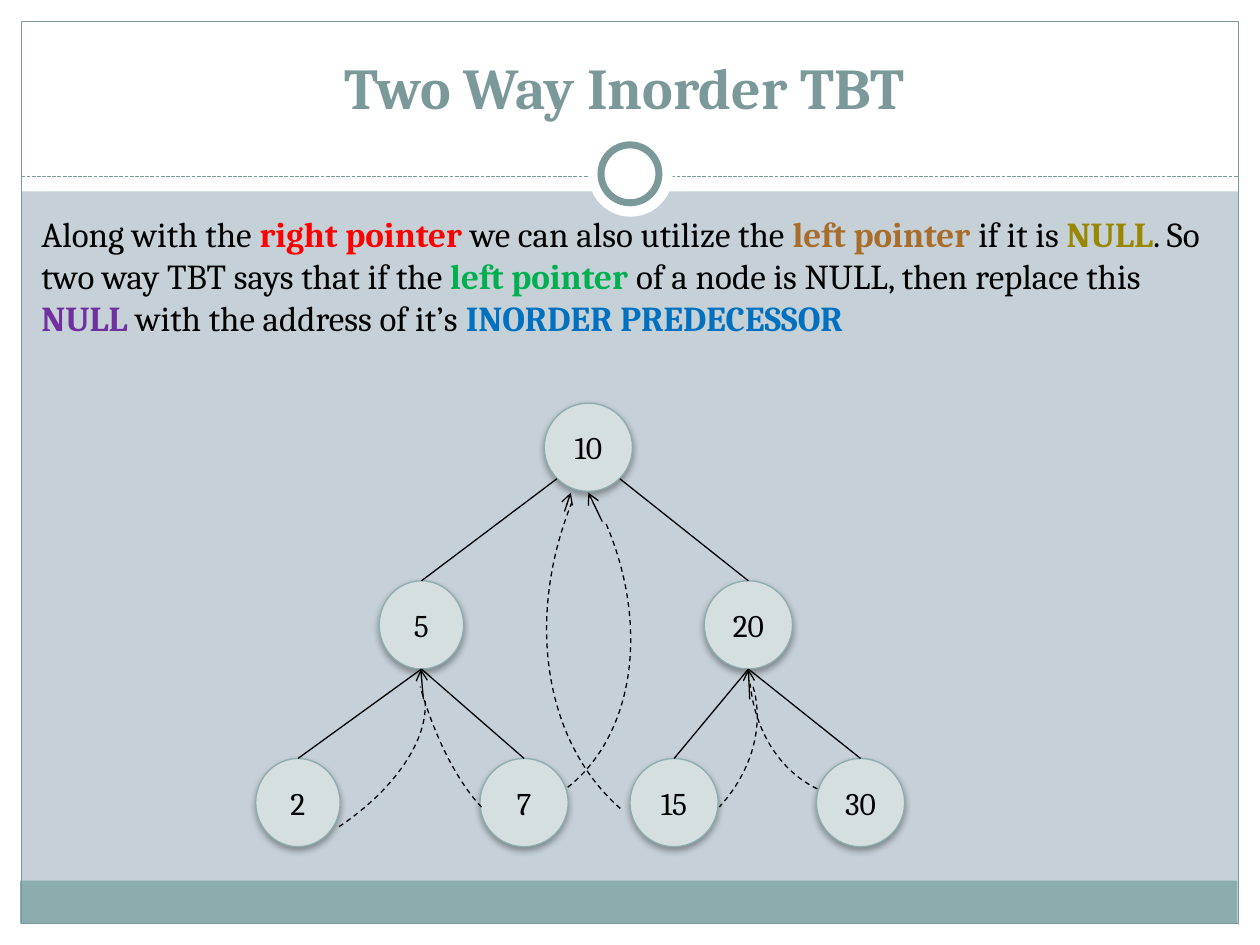
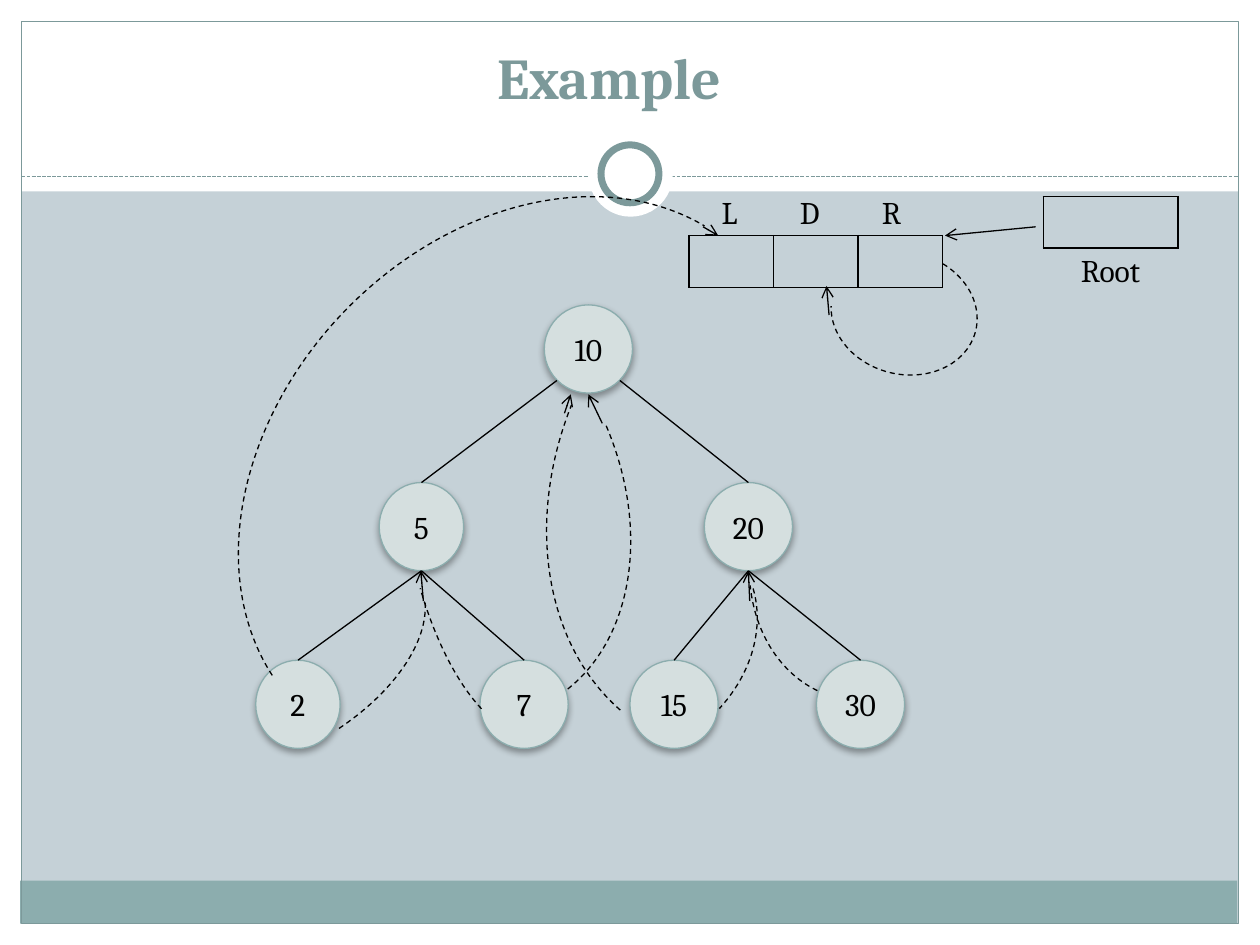
from lxml.etree import SubElement as Sub
from pptx import Presentation
from pptx.dml.color import RGBColor as RGB
from pptx.enum.dml import MSO_LINE as Dash
from pptx.enum.shapes import MSO_CONNECTOR as Conn, MSO_SHAPE as Geo
from pptx.enum.text import MSO_ANCHOR as Anchor, MSO_AUTO_SIZE as Fit, PP_ALIGN as Align
from pptx.oxml import parse_xml
from pptx.oxml.ns import nsdecls, qn
from pptx.util import Inches, Pt

# Shared look
FONT = "Cambria"
INK, TEAL, BAND, NODE, BACK, WHITE = "000000", "7C999A", "8CADAE", "D5DFDF", "C5D1D7", "FFFFFF"

# Slide 1 text: (words, colour of a bold run or None)
INTRO = [
    ("Along with the ", None), ("right pointer ", "FF0000"),
    ("we can also utilize the ", None), ("left pointer ", "A96D2B"),
    ("if it is ", None), ("NULL", "998700"),
    (". So two way TBT says that if the ", None), ("left pointer ", "00B050"),
    ("of a node is NULL, then replace this ", None), ("NULL", "7030A0"),
    (" with the address of it’s ", None), ("INORDER PREDECESSOR", "0070C0"),
]

# Tree, measured from the top of its root: value -> (left, level, width)
NODES = {
    "10": (4.32, 0, 0.7), "5": (3.01, 1, 0.67), "20": (5.59, 1, 0.7),
    "2": (2.03, 2, 0.67), "7": (3.81, 2, 0.7), "15": (5, 2, 0.7), "30": (6.48, 2, 0.7),
}
EDGES = [("10", "5"), ("10", "20"), ("5", "2"), ("5", "7"), ("20", "15"), ("20", "30")]
STEP, HIGH = 1.41, 0.7

# Threads: (left, top, width, height), turn, (start, end)
THREADS = [
    ((1.35, 1.45, 1.53, 2.73), 62.4, (166.75, 205.55)),
    ((1.51, 0, 3.86, 2.9), 62.4, (166.75, 212.68)),
    ((3.93, 1.48, 1.92, 2.32), 62.4, (166.75, 199.3)),
    ((3.27, 0.42, 1.23, 3.01), 166.9, (171.58, 205.55)),
    ((4.46, -0.97, 3.67, 4.65), 208.5, (166.75, 209.5)),
    ((5.96, 0.83, 1.92, 2.32), 194.1, (166.75, 199.3)),
]
TIPS = [
    ((3.36, 2.35), (3.34, 2.11)), ((4.78, 0.94), (4.67, 0.71)),
    ((5.95, 2.35), (5.94, 2.11)), ((4.48, 0.86), (4.53, 0.71)),
]

# Slide 2: threads through the head node
LOOPS = [
    ((2.19, 1.3, 3.87, 5.03), 223.9, (166.75, 49.24)),
    ((6.59, 2, 1.17, 0.97), 194.1, (68.44, 210.81)),
]
HEADS = [((5.58, 1.8), (5.7, 1.87)), ((6.58, 2.5), (6.56, 2.27)), ((8.22, 1.8), (7.5, 1.87))]


def color(code):
    return RGB.from_string(code)


def inch(*nums):
    return [Inches(n) for n in nums]


def style(font, size, code=INK, bold=None):
    font.name, font.size, font.bold = FONT, Pt(size), bold
    font.color.rgb = color(code)


def stroke(line, code=INK, width=0.75, dash=None):
    line.color.rgb = color(code)
    line.width = Pt(width)
    if dash:
        line.dash_style = dash


def shape(slide, geo, box, fill=None, edge=None, width=0.75, dash=None):
    item = slide.shapes.add_shape(geo, *inch(*box))
    item.shadow.inherit = False
    if fill:
        item.fill.solid()
        item.fill.fore_color.rgb = color(fill)
    else:
        item.fill.background()
    if edge:
        stroke(item.line, edge, width, dash)
    else:
        item.line.fill.background()
    return item


def link(slide, start, end, code=INK, dash=None, arrow=False):
    item = slide.shapes.add_connector(Conn.STRAIGHT, *inch(*start, *end))
    stroke(item.line, code, dash=dash)
    if arrow:
        Sub(item.line._get_or_add_ln(), qn("a:tailEnd"), type="arrow")
    Sub(item._element.spPr, qn("a:effectLst"))
    return item


def arc(slide, box, turn, ends, drop=0):
    left, top, wide, high = box
    item = shape(slide, Geo.ARC, (left, top + drop, wide, high), edge=INK, dash=Dash.DASH)
    item.rotation = turn
    item.adjustments[0], item.adjustments[1] = ends


def label(slide, box):
    frame = slide.shapes.add_textbox(*inch(*box)).text_frame
    frame.word_wrap = True
    return frame.paragraphs[0]


def node(slide, value, box):
    item = shape(slide, Geo.OVAL, box, NODE, BAND)
    effect = item._element.spPr.find(qn("a:effectLst"))
    effect.append(parse_xml(
        f'<a:outerShdw {nsdecls("a")} blurRad="{Pt(4)}" dist="{Pt(2)}" dir="5400000" '
        f'rotWithShape="0"><a:srgbClr val="{INK}"><a:alpha val="35000"/></a:srgbClr></a:outerShdw>'))
    frame = item.text_frame
    frame.vertical_anchor, frame.word_wrap = Anchor.MIDDLE, False
    par = frame.paragraphs[0]
    par.text, par.alignment = value, Align.CENTER
    style(par.font, 18)
    return item


def tree(slide, top):
    made = {}
    for value, (left, level, wide) in NODES.items():
        made[value] = node(slide, value, (left, top + level * STEP, wide, HIGH))
    for above, below in EDGES:
        left, level, wide = NODES[above]
        x, y = left + wide / 2, top + level * STEP + HIGH
        if level == 0:  # the root's edges leave at 45 degrees
            x += 0.25 if NODES[below][0] > left else -0.25
            y -= 0.1
        line = link(slide, (x, y), (x, y))
        line.end_connect(made[below], 0)
    for thread in THREADS:
        arc(slide, *thread, drop=top)
    for (x1, y1), (x2, y2) in TIPS:
        link(slide, (x1, y1 + top), (x2, y2 + top), arrow=True)


def cells(slide, left, top, count, wide, high=0.41):
    grid = slide.shapes.add_table(1, count, *inch(left, top, count * wide, high)).table
    grid.first_row = grid.horz_banding = False
    for cell in grid.iter_cells():
        cell.fill.background()
        props = cell._tc.get_or_add_tcPr()
        for n, side in enumerate("LRTB"):
            props.insert(n, parse_xml(
                f'<a:ln{side} {nsdecls("a")} w="{Pt(1)}"><a:solidFill>'
                f'<a:srgbClr val="{INK}"/></a:solidFill></a:ln{side}>'))


def dress(layout, slide):
    """Draw the shared frame and move it to the layout."""
    layout.background.fill.solid()
    layout.background.fill.fore_color.rgb = color(BACK)
    parts = [shape(slide, Geo.RECTANGLE, box, WHITE) for box in (
        (0, 7.33, 10, 0.17), (0, 0, 10, 1.52), (0, 0, 0.17, 7.5), (9.83, 0, 0.17, 7.5))]
    parts += [
        shape(slide, Geo.RECTANGLE, (0.16, 6.99, 9.66, 0.34), BAND),
        shape(slide, Geo.RECTANGLE, (0.17, 0.17, 9.66, 7.16), edge=TEAL),
        link(slide, (0.17, 1.4), (9.83, 1.4), TEAL, Dash.SQUARE_DOT),
        shape(slide, Geo.OVAL, (4.67, 1.05, 0.67, 0.67), WHITE),
        shape(slide, Geo.OVAL, (4.77, 1.15, 0.46, 0.46), WHITE, TEAL, 4),
    ]
    for n, part in enumerate(parts):
        part._element._nvXxPr.cNvPr.id = 100 + n
        layout.shapes._spTree.insert(2 + n, part._element)


def head(slide, text, left, top):
    title = slide.shapes.title
    title.left, title.top, title.width, title.height = inch(left, top, 6.17, 0.7)
    frame = title.text_frame
    frame.vertical_anchor, frame.auto_size = Anchor.BOTTOM, Fit.NONE
    par = frame.paragraphs[0]
    par.text, par.alignment = text, Align.CENTER
    style(par.font, 33, TEAL, True)


def main():
    deck = Presentation()
    deck.slide_width, deck.slide_height = inch(10, 7.5)
    layout = deck.slide_layouts[5]

    # Slide 1: definition and threaded tree
    slide = deck.slides.add_slide(layout)
    dress(layout, slide)
    head(slide, "Two Way Inorder TBT", 1.87, 0.31)
    par = label(slide, (0.23, 1.64, 9.53, 1.45))
    for words, code in INTRO:
        run = par.add_run()
        run.text = words
        style(run.font, 20, code or INK, bool(code))
    tree(slide, 3.2)

    # Slide 2: the same tree with a head node
    slide = deck.slides.add_slide(layout)
    head(slide, "Example ", 1.8, 0.23)
    tree(slide, 2.42)
    cells(slide, 5.47, 1.87, 3, 0.67)
    cells(slide, 8.28, 1.56, 1, 1.07)
    par = label(slide, (5.63, 1.48, 1.83, 0.4))
    tabs = Sub(par._p.get_or_add_pPr(), qn("a:tabLst"))
    for stop in (0.62, 1.27):
        Sub(tabs, qn("a:tab"), pos=str(Inches(stop)), algn="l")
    par.text = "L\tD\tR"
    style(par.font, 18)
    par = label(slide, (8.48, 1.94, 0.74, 0.4))
    par.text = "Root"
    style(par.font, 18)
    for loop in LOOPS:
        arc(slide, *loop)
    for start, end in HEADS:
        link(slide, start, end, arrow=True)

    deck.save("out.pptx")


if __name__ == "__main__":
    main()
